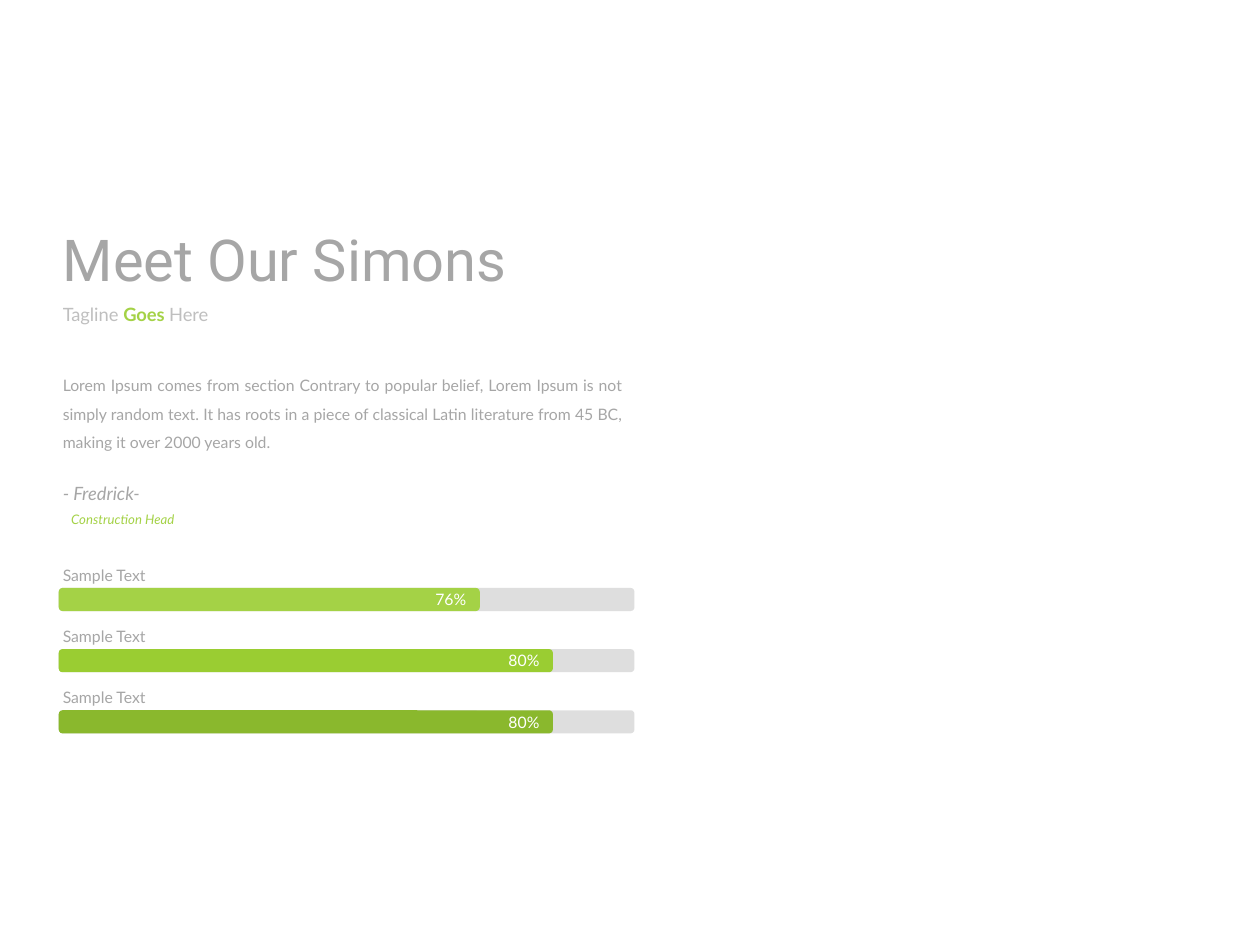
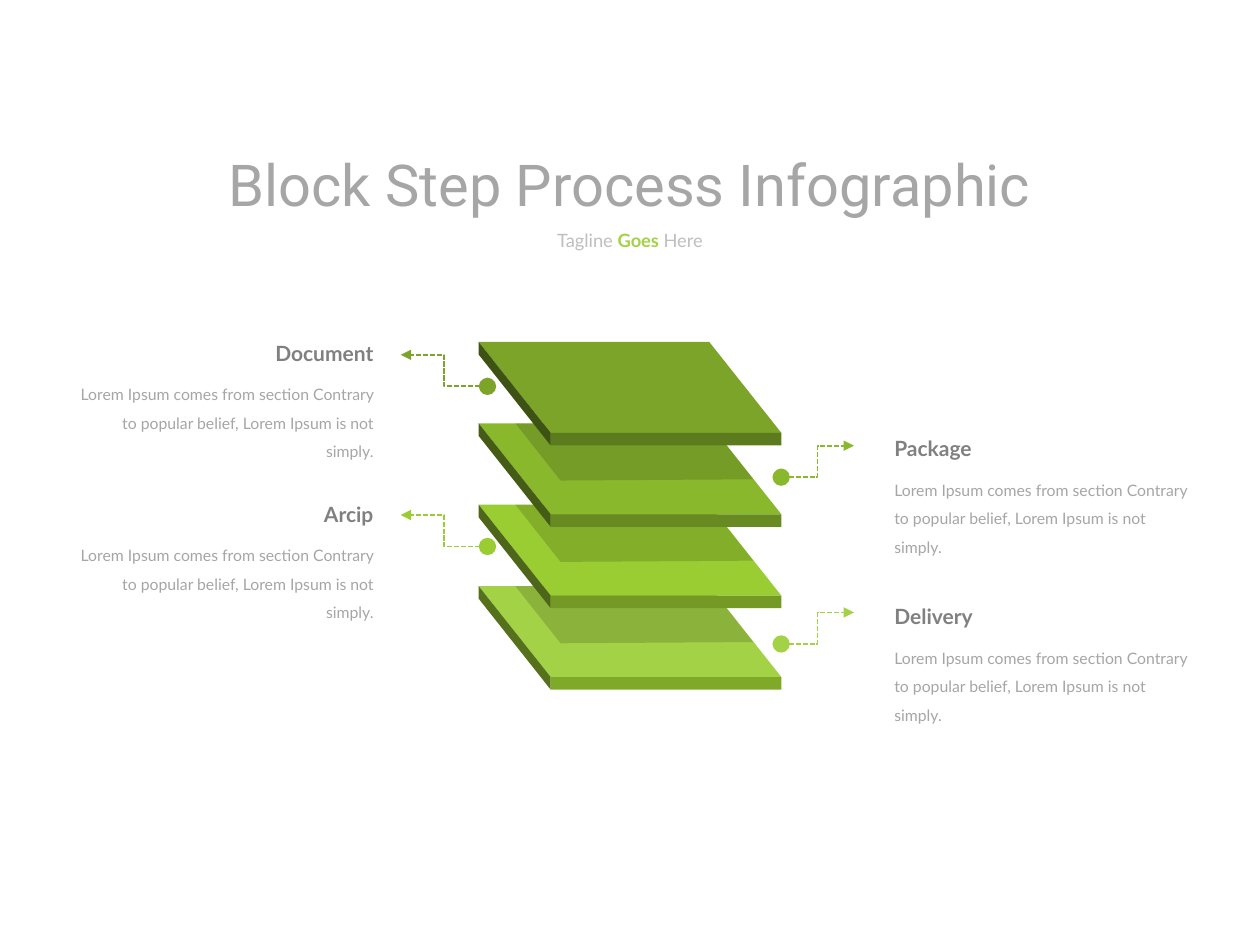
from dataclasses import dataclass
from lxml.etree import SubElement
from pptx import Presentation
from pptx.dml.color import RGBColor
from pptx.enum.dml import MSO_LINE
from pptx.enum.shapes import MSO_CONNECTOR, MSO_SHAPE
from pptx.enum.text import MSO_ANCHOR, MSO_AUTO_SIZE, PP_ALIGN
from pptx.oxml.ns import qn
from pptx.util import Pt


@dataclass(frozen=True)
class Theme:
    grey: str = "A6A6A6"
    pale: str = "BFBFBF"
    dark: str = "808080"
    white: str = "FFFFFF"
    black: str = "000000"
    lime: str = "A4D246"
    green: str = "9ACD32"
    leaf: str = "8AB82D"
    moss: str = "7BA428"
    title_size: float = 33
    heading_size: float = 12
    tagline_size: float = 10.5
    body_size: float = 9
    small_size: float = 7.5


THEME = Theme()


def style(size, color, font="Lato", **extra):
    return {"name": font, "size": Pt(size), "color": color, **extra}


TITLE = style(THEME.title_size, THEME.grey, "Roboto")
TAGLINE = style(THEME.tagline_size, THEME.pale)
ACCENT = style(THEME.tagline_size, THEME.lime, bold=True)
BODY = style(THEME.body_size, THEME.grey)
NAME = style(THEME.tagline_size, THEME.grey, italic=True)
ROLE = style(THEME.small_size, THEME.lime, italic=True)
HEADING = style(THEME.heading_size, THEME.dark, bold=True)
PERCENT = style(THEME.body_size, THEME.white)

TAGLINE_SPANS = [("Tagline ", TAGLINE), ("Goes ", ACCENT), ("Here", TAGLINE)]
PROFILE = (
    "Lorem Ipsum comes from section Contrary to popular belief, Lorem Ipsum is not "
    "simply random text. It has roots in a piece of classical Latin literature from "
    "45 BC, making it over 2000 years old."
)
CALLOUT_BODY = (
    "Lorem Ipsum comes from section Contrary to popular belief, "
    "Lorem Ipsum is not simply."
)
SKILLS = [
    ("Sample Text", "76%", 240.6, THEME.lime),
    ("Sample Text", "80%", 282.4, THEME.green),
    ("Sample Text", "80%", 282.4, THEME.leaf),
]
PLATES = [
    (THEME.moss, "3E5214", "5C7B1E"),
    (THEME.leaf, "455C17", "678A22"),
    (THEME.green, "4D6619", "749A25"),
    (THEME.lime, "55711B", "7FA929"),
]
CALLOUTS = [
    ("Document", "left", 71.3, 190.8, 220.8, THEME.moss),
    ("Package", "right", 59.8, 245.4, 272.7, THEME.leaf),
    ("Arcip", "left", 43.2, 283, 312.3, THEME.green),
    ("Delivery", "right", 59.8, 341.5, 368, THEME.lime),
]

BAR_LEFT, BAR_TOP, BAR_WIDTH, BAR_HEIGHT, BAR_PITCH = 33.6, 336, 329, 13.2, 34.95
PLATE_LEFT, PLATE_TOP, PLATE_PITCH = 273.5, 195.4, 46.5
PLATE_WIDTH, PLATE_DEPTH, PLATE_SLANT, PLATE_EDGE = 131.8, 52, 41.2, 7.2
SHADE = [(21, 0), (131.8, 0), (157, 32), (46.9, 32.7)]
BODY_WIDTH = 185
SIDES = {
    "left": {"text": 35.5, "start": 278.6, "end": 229, "align": PP_ALIGN.RIGHT},
    "right": {"text": 504, "start": 446.4, "end": 488, "align": PP_ALIGN.LEFT},
}


def points(*lengths):
    return [Pt(length) for length in lengths]


def write(frame, spans, align, spacing=None):
    para = frame.paragraphs[0]
    para.alignment = align
    if spacing:
        para.line_spacing = spacing
    for text, look in spans:
        span = para.add_run()
        span.text = text
        for key, value in look.items():
            if key == "color":
                span.font.color.rgb = RGBColor.from_string(value)
            else:
                setattr(span.font, key, value)


def add_text(page, place, spans, align=PP_ALIGN.LEFT, wrap=False, spacing=None):
    frame = page.shapes.add_textbox(*points(*place)).text_frame
    frame.word_wrap = wrap
    frame.auto_size = MSO_AUTO_SIZE.SHAPE_TO_FIT_TEXT
    write(frame, spans, align, spacing)


def paint(shape, color, opacity=100):
    shape.shadow.inherit = False
    shape.line.fill.background()
    shape.fill.solid()
    shape.fill.fore_color.rgb = RGBColor.from_string(color)
    if opacity < 100:
        tint = shape.element.spPr.find(qn("a:solidFill")).find(qn("a:srgbClr"))
        SubElement(tint, qn("a:alpha"), val=str(opacity * 1000))
    return shape


def add_polygon(shapes, left, top, corners, color, opacity=100):
    outline = [tuple(points(left + x, top + y)) for x, y in corners]
    builder = shapes.build_freeform(*outline[0], scale=1.0)
    builder.add_line_segments(outline[1:], close=True)
    paint(builder.convert_to_shape(), color, opacity)


def add_bar(page, top, width, color, opacity=100):
    place = points(BAR_LEFT, top, width, BAR_HEIGHT)
    bar = page.shapes.add_shape(MSO_SHAPE.ROUNDED_RECTANGLE, *place)
    return paint(bar, color, opacity)


def add_skill(page, index, label, percent, width, color):
    top = BAR_TOP + index * BAR_PITCH
    add_bar(page, top, BAR_WIDTH, THEME.pale, 50)
    frame = add_bar(page, top, width, color).text_frame
    frame.vertical_anchor = MSO_ANCHOR.MIDDLE
    frame.margin_top = frame.margin_bottom = 0
    frame.margin_right = Pt(7.2)
    write(frame, [(percent, PERCENT)], PP_ALIGN.RIGHT)
    add_text(page, (28.8, top - 16.4, 64, 18), [(label, BODY)])


def add_plate(page, index, face, side, front):
    top = PLATE_TOP + index * PLATE_PITCH
    shapes = page.shapes.add_group_shape().shapes
    foot = (PLATE_SLANT, PLATE_DEPTH)
    far = (PLATE_SLANT + PLATE_WIDTH, PLATE_DEPTH)
    drop = (PLATE_SLANT, PLATE_DEPTH + PLATE_EDGE)
    add_polygon(shapes, PLATE_LEFT, top, [(0, 0), (PLATE_WIDTH, 0), far, foot], face)
    add_polygon(shapes, PLATE_LEFT, top, [(0, 0), foot, drop, (0, PLATE_EDGE)], side)
    edge = points(PLATE_LEFT + PLATE_SLANT, top + PLATE_DEPTH, PLATE_WIDTH, PLATE_EDGE)
    paint(shapes.add_shape(MSO_SHAPE.RECTANGLE, *edge), front)
    if index:
        add_polygon(shapes, PLATE_LEFT, top, SHADE, THEME.black, 15)


def add_arrow(page, start, end, color):
    arrow = page.shapes.add_connector(MSO_CONNECTOR.ELBOW, *points(*start, *end))
    arrow.line.color.rgb = RGBColor.from_string(color)
    arrow.line.width = Pt(1)
    arrow.line.dash_style = MSO_LINE.SQUARE_DOT
    properties = arrow.element.spPr
    line = properties.find(qn("a:ln"))
    SubElement(line, qn("a:headEnd"), type="oval", w="lg", len="lg")
    SubElement(line, qn("a:tailEnd"), type="triangle")
    SubElement(properties, qn("a:effectLst"))


def add_callout(page, heading, side, width, top, start, color):
    spot = SIDES[side]
    align = spot["align"]
    add_arrow(page, (spot["start"], start), (spot["end"], start - 18), color)
    left = spot["text"]
    add_text(page, (left, top + 20.2, BODY_WIDTH, 56), [(CALLOUT_BODY, BODY)],
             align, True, 1.5)
    if side == "left":
        left += BODY_WIDTH - width
    add_text(page, (left, top, width, 21.6), [(heading, HEADING)], align)


def add_title(page, text, left, top, width, tagline_left, align):
    add_text(page, (left, top, width, 47.5), [(text, TITLE)], align)
    add_text(page, (tagline_left, top + 45.6, 100.8, 20), TAGLINE_SPANS, align)


def build_profile(page):
    add_title(page, "Meet Our Simons", 28.8, 124.4, 270.7, 28.8, PP_ALIGN.LEFT)
    add_text(page, (28.8, 205.9, 333.4, 56), [(PROFILE, BODY)],
             PP_ALIGN.JUSTIFY, True, 1.5)
    add_text(page, (28.8, 272.2, 60.5, 20), [("- Fredrick-", NAME)])
    add_text(page, (33.6, 288.7, 74.2, 16.6), [("Construction Head", ROLE)])
    for index, skill in enumerate(SKILLS):
        add_skill(page, index, *skill)


def build_process(page):
    add_title(page, "Block Step Process Infographic", 120.4, 81.6, 479, 309.6,
              PP_ALIGN.CENTER)
    for index, plate in reversed(list(enumerate(PLATES))):
        add_plate(page, index, *plate)
    for callout in CALLOUTS:
        add_callout(page, *callout)


def main():
    deck = Presentation()
    deck.slide_width, deck.slide_height = points(720, 540)
    for build in (build_profile, build_process):
        build(deck.slides.add_slide(deck.slide_layouts[6]))
    deck.save("out.pptx")


if __name__ == "__main__":
    main()
